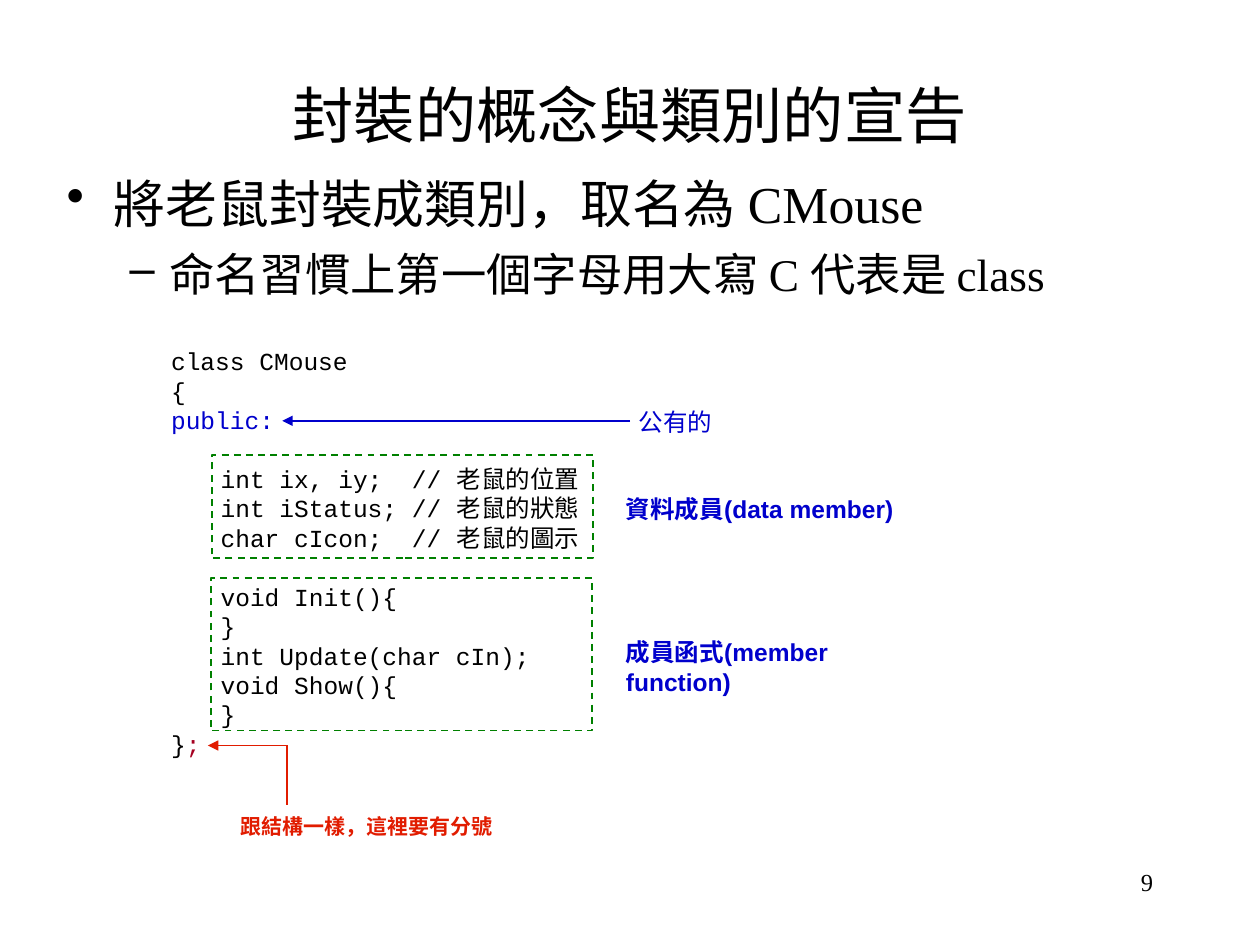
from lxml.etree import SubElement
from pptx import Presentation
from pptx.dml.color import RGBColor
from pptx.enum.dml import MSO_LINE
from pptx.enum.shapes import MSO_CONNECTOR, MSO_SHAPE
from pptx.enum.text import MSO_ANCHOR, PP_ALIGN
from pptx.oxml.ns import qn
from pptx.util import Pt

BLACK, BLUE, RED = "000000", "0000CC", "E11C00"
DARK_RED, GREEN = "A50021", "008000"
SERIF, SANS, MONO = "Times New Roman", "Arial", "Courier New"


def rgb(value):
    return RGBColor.from_string(value)


class SlideBuilder:
    def __init__(self, slide):
        self.s = slide

    def text_box(self, x, y, w, h, anchor=MSO_ANCHOR.TOP):
        tf = self.s.shapes.add_textbox(Pt(x), Pt(y), Pt(w), Pt(h)).text_frame
        tf.word_wrap = True
        tf.vertical_anchor = anchor
        return tf

    def paragraph(self, tf, runs, size, font=SERIF, bold=False,
                  align=PP_ALIGN.LEFT, before=0):
        """Add a paragraph of (text, colour) runs, reusing an empty first one."""
        p = tf.paragraphs[0]
        if p.runs:
            p = tf.add_paragraph()
        p.alignment = align
        p.space_before = Pt(before)
        for text, color in runs:
            r = p.add_run()
            r.text = text
            r.font.name, r.font.size, r.font.bold = font, Pt(size), bold
            r.font.color.rgb = rgb(color)
        return p

    def bullet(self, tf, char, text, size, left, hanging, before=0):
        p = self.paragraph(tf, [(text, BLACK)], size, before=before)
        pPr = p._p.get_or_add_pPr()
        pPr.set("marL", str(Pt(left)))
        pPr.set("indent", str(-Pt(hanging)))
        SubElement(pPr, qn("a:buChar"), char=char)

    def label(self, x, y, w, h, text, size, color, font=SANS, bold=True,
              align=PP_ALIGN.LEFT):
        tf = self.text_box(x, y, w, h)
        self.paragraph(tf, [(text, color)], size, font, bold, align)

    def code(self, x, y, w, h, lines, tab, size, blank):
        """Add code lines; an empty line becomes space before the next one."""
        tf = self.text_box(x, y, w, h)
        before = 0
        for runs in lines:
            if not runs:
                before = blank
                continue
            p = self.paragraph(tf, runs, size, MONO, before=before)
            tabs = SubElement(p._p.get_or_add_pPr(), qn("a:tabLst"))
            SubElement(tabs, qn("a:tab"), pos=str(Pt(tab)), algn="l")
            before = 0

    def dashed_box(self, x, y, w, h):
        sp = self.s.shapes.add_shape(MSO_SHAPE.RECTANGLE, Pt(x), Pt(y), Pt(w), Pt(h))
        sp.shadow.inherit = False
        sp.fill.background()
        sp.line.color.rgb = rgb(GREEN)
        sp.line.width = Pt(1)
        sp.line.dash_style = MSO_LINE.DASH

    def line(self, x1, y1, x2, y2, color, width, arrow=False):
        c = self.s.shapes.add_connector(MSO_CONNECTOR.STRAIGHT,
                                        Pt(x1), Pt(y1), Pt(x2), Pt(y2))
        c.line.color.rgb = rgb(color)
        c.line.width = Pt(width)
        if arrow:
            SubElement(c.line._get_or_add_ln(), qn("a:tailEnd"), type="triangle")
        SubElement(c._element.spPr, qn("a:effectLst"))


def main():
    prs = Presentation()
    prs.slide_width, prs.slide_height = Pt(720), Pt(540)
    b = SlideBuilder(prs.slides.add_slide(prs.slide_layouts[6]))

    title = b.text_box(54, 20, 612, 90, MSO_ANCHOR.MIDDLE)
    b.paragraph(title, [("封裝的概念與類別的宣告", BLACK)], 35, align=PP_ALIGN.CENTER)

    body = b.text_box(31, 94.5, 648, 85)
    b.bullet(body, "•", "將老鼠封裝成類別，取名為 CMouse", 29.6, 27, 27)
    b.bullet(body, "–", "命名習慣上第一個字母用大寫 C 代表是 class", 25.9, 58.5, 22.5, 7)

    members = ["int ix, iy;  // 老鼠的位置", "int iStatus; // 老鼠的狀態",
               "char cIcon;  // 老鼠的圖示"]
    functions = ["void Init(){", "}", "int Update(char cIn);", "void Show(){", "}"]
    lines = [[("class CMouse", BLACK)], [("{", BLACK)], [("public:", BLUE)]]
    for group in (members, functions):
        lines += [[]] + [[("\t" + text, BLACK)] for text in group]
    lines.append([("}", BLACK), (";", DARK_RED)])
    b.code(90.7, 194.4, 345.6, 242.6, lines, tab=28.3, size=14, blank=16.8)

    b.dashed_box(121, 260, 218, 59)
    b.dashed_box(120.5, 330.5, 218, 87)
    b.label(350.6, 278.6, 215, 24.5, "資料成員(data member)", 14, BLUE)
    b.label(350.6, 360.7, 193, 41, "成員函式(member function)", 14, BLUE)
    b.label(357.8, 229, 97, 24.5, "公有的", 14, BLUE, SERIF, bold=False)
    b.line(360, 240.5, 161.3, 240.5, BLUE, 1.5, arrow=True)

    b.label(130.3, 461.5, 250, 21.6, "跟結構一樣，這裡要有分號", 12, RED)
    b.line(164.2, 426, 118.8, 426, RED, 1, arrow=True)
    b.line(164.2, 426, 164.2, 460, RED, 1)

    b.label(516, 491.8, 150, 36, "9", 14, BLACK, SERIF, bold=False, align=PP_ALIGN.RIGHT)
    prs.save("out.pptx")


if __name__ == "__main__":
    main()
